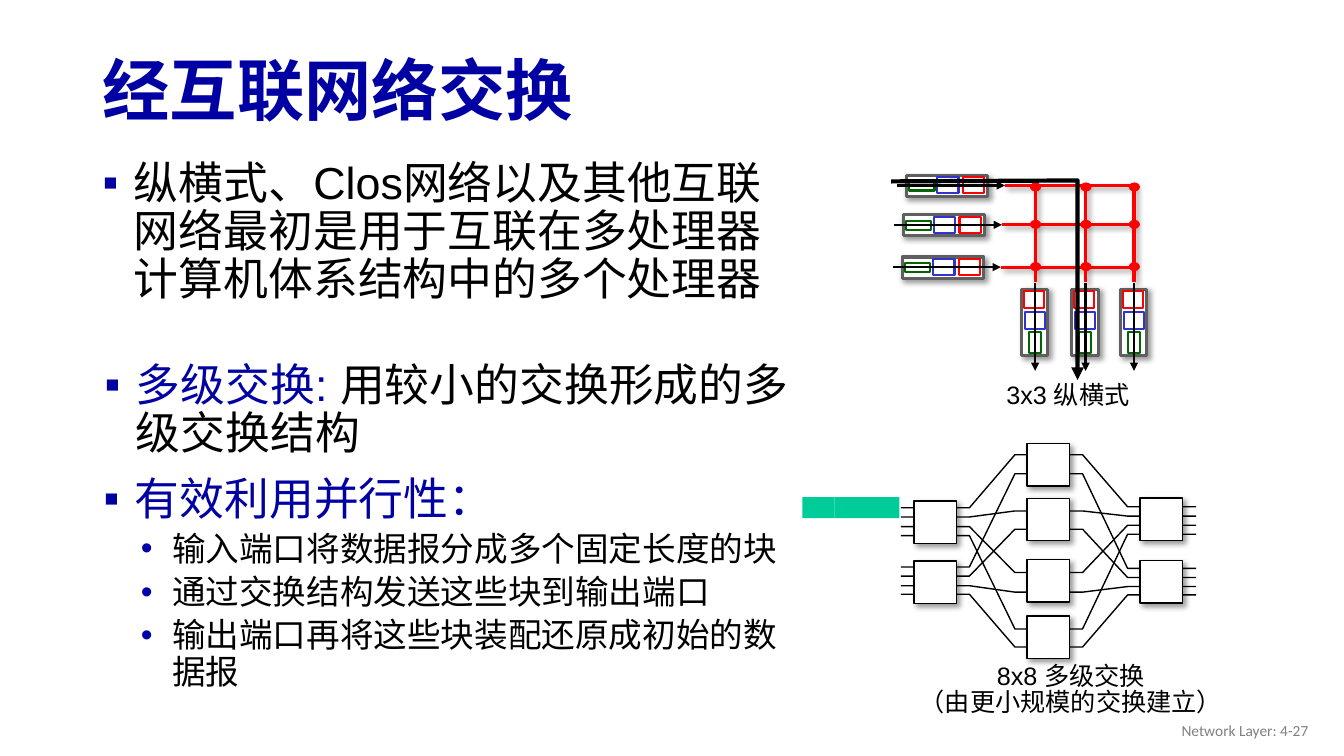
"""Build the slide on switching through an interconnection network."""
from itertools import product

from lxml import etree
from pptx import Presentation
from pptx.dml.color import RGBColor
from pptx.enum import shapes, text
from pptx.oxml import ns
from pptx.util import Pt

NAVY = RGBColor(0x00, 0x00, 0xA3)
BLACK = RGBColor(0x00, 0x00, 0x00)
WHITE = RGBColor(0xFF, 0xFF, 0xFF)
GRAY = RGBColor(0x80, 0x80, 0x80)
FRAME_GRAY = RGBColor(0x5F, 0x5F, 0x5F)
GREEN = RGBColor(0x00, 0x66, 0x00)
BLUE = RGBColor(0x33, 0x33, 0xCC)
RED = RGBColor(0xFF, 0x00, 0x00)
TEAL = RGBColor(0x00, 0xCC, 0x99)


def style_outline(shape, color, width, shadow=False, arrow=False):
    if color is None:
        shape.line.fill.background()
    else:
        shape.line.color.rgb = color
        shape.line.width = Pt(width)
    if arrow:
        line = shape.line._get_or_add_ln()
        etree.SubElement(line, ns.qn("a:tailEnd"), type="triangle")
    effects = etree.SubElement(shape._element.spPr, ns.qn("a:effectLst"))
    if shadow:
        outer = etree.SubElement(effects, ns.qn("a:outerShdw"), blurRad=str(Pt(4)),
                                 dist=str(Pt(3)), dir="2700000", rotWithShape="0")
        tint = etree.SubElement(outer, ns.qn("a:srgbClr"), val="000000")
        etree.SubElement(tint, ns.qn("a:alpha"), val="40000")


def draw_box(left, top, width, height, color, line_width, shadow=False,
             fill=WHITE, preset=shapes.MSO_SHAPE.RECTANGLE):
    box = slide.shapes.add_shape(preset, Pt(left), Pt(top), Pt(width), Pt(height))
    box.fill.solid()
    box.fill.fore_color.rgb = fill
    style_outline(box, color, line_width, shadow)


presentation = Presentation()
presentation.slide_width, presentation.slide_height = Pt(960), Pt(540)
slide = presentation.slides.add_slide(presentation.slide_layouts[1])

title = slide.shapes.title
title.left, title.top, title.width, title.height = Pt(66.2), Pt(31.7), Pt(828), Pt(70.6)
title.text_frame.text = "经互联网络交换"
title.text_frame.auto_size = text.MSO_AUTO_SIZE.NONE
title.text_frame.vertical_anchor = text.MSO_ANCHOR.MIDDLE
paragraph = title.text_frame.paragraphs[0]
paragraph.alignment = text.PP_ALIGN.LEFT
paragraph.line_spacing = 0.9
font = paragraph.runs[0].font
font.name, font.size, font.bold = "Arial", Pt(48), True
font.color.rgb = NAVY

body = slide.placeholders[1]
multistage = slide.shapes.add_textbox(0, 0, 0, 0)
parallelism = slide.shapes.add_textbox(0, 0, 0, 0)
bullet_lists = [
    (body, 60.5, 110.9, 401.8,
     [(0, [("纵横式、Clos网络以及其他互联网络最初是用于互联在多处理器计算机体系结构中的多个处理器", BLACK)])]),
    (multistage, 61.9, 255.6, 86.4,
     [(0, [("多级交换: ", NAVY), ("用较小的交换形成的多级交换结构", BLACK)])]),
    (parallelism, 61.2, 337, 167,
     [(0, [("有效利用并行性：", NAVY)]),
      (1, [("输入端口将数据报分成多个固定长度的块", BLACK)]),
      (1, [("通过交换结构发送这些块到输出端口", BLACK)]),
      (1, [("输出端口再将这些块装配还原成初始的数据报", BLACK)])]),
]
level_styles = [("▪", "0000A3", 28, 32, 10), ("•", "0000A8", 54.7, 24, 5)]
for shape, left, top, height, items in bullet_lists:
    shape.left, shape.top, shape.width, shape.height = Pt(left), Pt(top), Pt(509.8), Pt(height)
    frame = shape.text_frame
    frame.word_wrap = True
    frame.auto_size = text.MSO_AUTO_SIZE.NONE
    for index, (level, runs) in enumerate(items):
        mark, mark_color, indent, size, space = level_styles[level]
        paragraph = frame.add_paragraph() if index else frame.paragraphs[0]
        paragraph.level = level
        paragraph.line_spacing = 0.9
        paragraph.space_before = Pt(space if index else 0)
        properties = paragraph._p.get_or_add_pPr()
        properties.set("marL", str(Pt(indent)))
        properties.set("indent", str(Pt(-22.3)))
        bullet_color = etree.SubElement(properties, ns.qn("a:buClr"))
        etree.SubElement(bullet_color, ns.qn("a:srgbClr"), val=mark_color)
        etree.SubElement(properties, ns.qn("a:buFont"), typeface="Arial")
        etree.SubElement(properties, ns.qn("a:buChar"), char=mark)
        for words, color in runs:
            run = paragraph.add_run()
            run.text = words
            run.font.name, run.font.size = "Arial", Pt(size)
            run.font.color.rgb = color

input_queues = [(647.3, 125.3), (645.1, 153.4), (644.4, 183.6)]
output_columns = [739.4, 775.4, 810]
connectors = []
for left, top in input_queues:
    draw_box(left, top, 58.3, 15.1, FRAME_GRAY, 2.25, True)
    draw_box(left + 2.2, top + 4.3, 18, 6.5, GREEN, 1.5)
    draw_box(left + 22.3, top + 1.4, 15.1, 11.5, BLUE, 1.5)
    draw_box(left + 40.3, top + 1.4, 15.1, 11.5, RED, 1.5)
    middle = top + 7.2
    connectors.append((left - 6.5, middle, left + 70.6, middle, BLACK))
    connectors.append((left + 70.6, middle, 810, middle, RED))
for x in output_columns:
    draw_box(x - 9.7, 206.6, 18.7, 47.5, FRAME_GRAY, 2.25, True)
    draw_box(x - 4.5, 237.2, 8.6, 15.1, GREEN, 1.5)
    draw_box(x - 7.3, 222.8, 14.4, 12.2, BLUE, 1.5)
    draw_box(x - 8, 208.1, 14.4, 12.2, RED, 1.5)
    connectors.append((x, 202.3, x, 265, BLACK))
    connectors.append((x, 201.6, x, 132.3, RED))
for x1, y1, x2, y2, color in connectors:
    connector = slide.shapes.add_connector(
        shapes.MSO_CONNECTOR.STRAIGHT, Pt(x1), Pt(y1), Pt(x2), Pt(y2))
    crossbar = color == RED
    style_outline(connector, color, 2.25 if crossbar else 1.5, crossbar, not crossbar)
for x, y in product(output_columns, (133.5, 160.2, 190.4)):
    draw_box(x - 3.7, y - 3.2, 8, 6.5, None, 0, fill=RED, preset=shapes.MSO_SHAPE.OVAL)

paths = [([(636.5, 129.6), (769.7, 128.9), (769.7, 271.4)], 3, True)]
wire_columns = [643.5, 692.5, 725, 773.3, 805.5, 854.4]
wire_levels = [
    (362.7, 324.8, 362), (424.5, 462.2, 425), (369.3, 365, 368.7), (418.4, 423, 419),
    (376.2, 409, 375.2), (411.5, 378, 412.5), (382.6, 449.3, 381.6), (405, 338.4, 406)]
for levels in wire_levels:
    heights = [level for level in levels for _ in range(2)]
    paths.append((list(zip(wire_columns, heights)), 1, False))
for points, width, arrow in paths:
    corners = [(Pt(x), Pt(y)) for x, y in points]
    builder = slide.shapes.build_freeform(*corners[0])
    builder.add_line_segments(corners[1:], close=False)
    wire = builder.convert_to_shape()
    wire.fill.background()
    style_outline(wire, BLACK, width, arrow=arrow)

switch_stages = [(653, (357.8, 400.6)), (733.5, (316.8, 355.9, 399.6, 440)),
                 (814.4, (355.7, 400.4))]
for left, tops in switch_stages:
    for top in tops:
        draw_box(left, top, 30.3, 30.3, BLACK, 1, True)
for index in range(3):
    draw_box(573.1 + 23.1 * index, 355, 23.1, 15.1, None, 0, fill=TEAL)

labels = [
    (648.7, 471.6, 232.6, 44.6, ["8x8 多级交换", "（由更小规模的交换建立）"],
     "Arial", 18, BLACK, text.PP_ALIGN.CENTER, 0.85, text.MSO_ANCHOR.TOP),
    (711, 270.7, 103.7, 25.9, ["3x3 纵横式"],
     "Arial", 18, BLACK, text.PP_ALIGN.CENTER, 0.85, text.MSO_ANCHOR.TOP),
    (725.8, 507.6, 216, 28.8, ["Network Layer: 4-27"],
     "Calibri", 11, GRAY, text.PP_ALIGN.RIGHT, 1.0, text.MSO_ANCHOR.MIDDLE),
]
for left, top, width, height, lines, face, size, color, alignment, spacing, anchor in labels:
    label = slide.shapes.add_textbox(Pt(left), Pt(top), Pt(width), Pt(height))
    frame = label.text_frame
    frame.word_wrap = True
    frame.vertical_anchor = anchor
    frame.text = "\n".join(lines)
    for paragraph in frame.paragraphs:
        paragraph.alignment = alignment
        paragraph.line_spacing = spacing
        font = paragraph.runs[0].font
        font.name, font.size = face, Pt(size)
        font.color.rgb = color

presentation.save("out.pptx")
